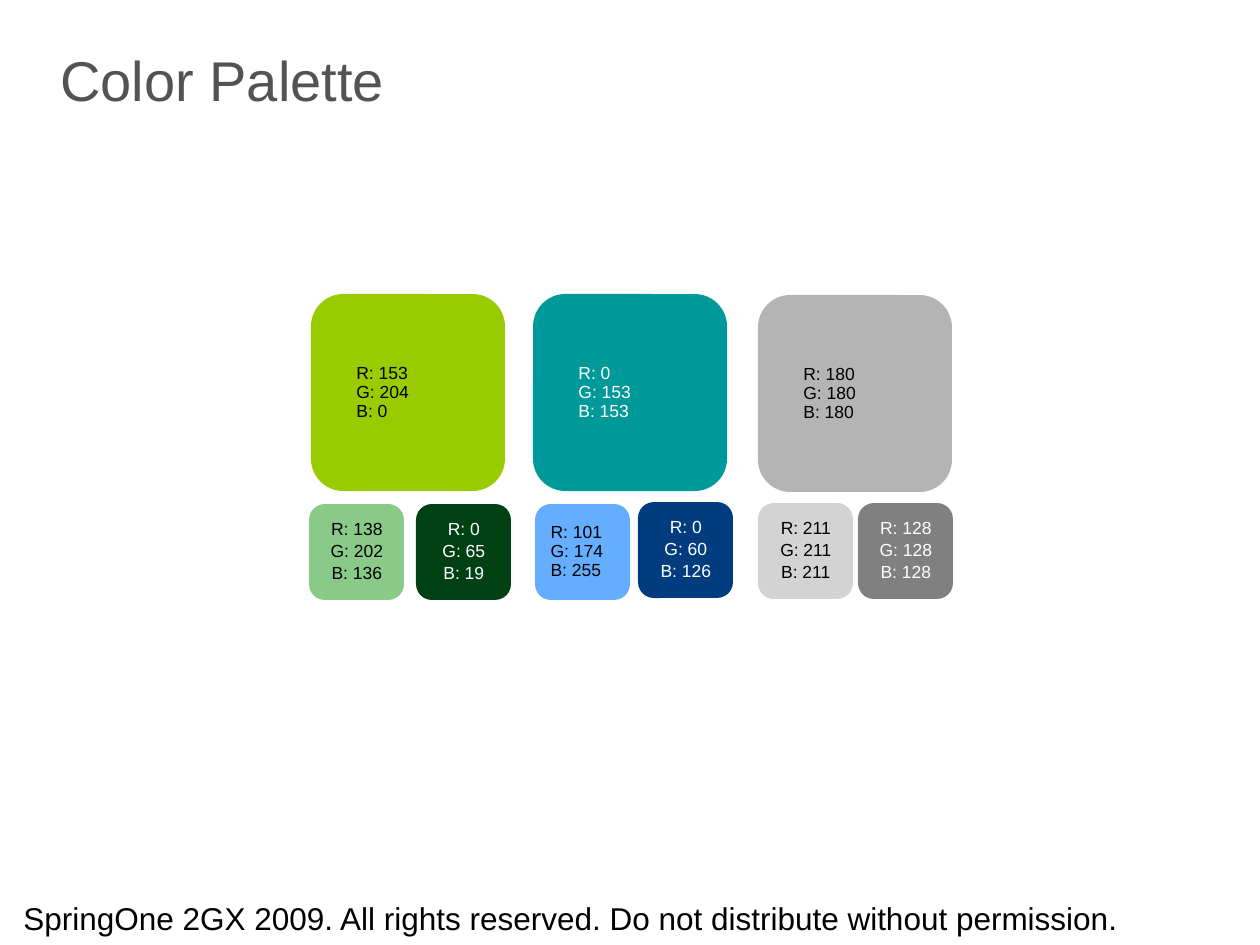
from dataclasses import dataclass

from pptx import Presentation
from pptx.dml.color import RGBColor
from pptx.enum.shapes import MSO_SHAPE
from pptx.enum.text import MSO_ANCHOR, PP_ALIGN
from pptx.util import Emu, Pt

PX_PER_INCH = 126


@dataclass(frozen=True)
class Theme:
    font: str = "Arial"
    black: RGBColor = RGBColor(0, 0, 0)
    white: RGBColor = RGBColor(255, 255, 255)
    title: RGBColor = RGBColor(0x53, 0x53, 0x53)
    title_size: int = 32
    footer_size: int = 18
    swatch_size: int = 10


THEME = Theme()
MAIN_SIZE = (194, 197)
SHADE_SIZE = (95, 96)
HANGING = 24  # hanging indent of left-aligned swatch values

# Per family: left and top, main colour and its ink, then its shades:
# offset from the family corner, colour, ink, and whether centred.
FAMILIES = [
    ((311, 294), (153, 204, 0), THEME.black, [
        ((-2, 210), (138, 202, 136), THEME.black, True),
        ((105, 210), (0, 65, 19), THEME.white, True)]),
    ((533, 294), (0, 153, 153), THEME.white, [
        ((2, 210), (101, 174, 255), THEME.black, False),
        ((105, 208), (0, 60, 126), THEME.white, True)]),
    ((758, 295), (180, 180, 180), THEME.black, [
        ((0, 208), (211, 211, 211), THEME.black, True),
        ((100, 208), (128, 128, 128), THEME.white, True)]),
]


def px(length):
    return Emu(round(length * 914400 / PX_PER_INCH))


def style(paragraph, size, color):
    paragraph.font.name = THEME.font
    paragraph.font.size = Pt(size)
    paragraph.font.color.rgb = color


def add_line(slide, box, text, size, color, anchor):
    frame = slide.shapes.add_textbox(*map(px, box)).text_frame
    frame.word_wrap = True
    frame.vertical_anchor = anchor
    frame.text = text
    style(frame.paragraphs[0], size, color)


def add_swatch(slide, box, rgb, ink, centred, left_inset=13):
    """Rounded square filled with a colour and labelled with its values."""
    swatch = slide.shapes.add_shape(MSO_SHAPE.ROUNDED_RECTANGLE, *map(px, box))
    swatch.shadow.inherit = False
    swatch.fill.solid()
    swatch.fill.fore_color.rgb = RGBColor(*rgb)
    swatch.line.fill.background()

    frame = swatch.text_frame
    frame.word_wrap = True
    frame.vertical_anchor = MSO_ANCHOR.MIDDLE
    frame.margin_left = px(left_inset)
    frame.text = "\n".join(f"{channel}: {value}" for channel, value in zip("RGB", rgb))
    for paragraph in frame.paragraphs:
        paragraph.line_spacing = 0.9
        if centred:
            paragraph.alignment = PP_ALIGN.CENTER
            paragraph.space_after = Pt(1.9)
        else:
            paragraph.alignment = PP_ALIGN.LEFT
            properties = paragraph._p.get_or_add_pPr()
            properties.set("marL", str(px(HANGING)))
            properties.set("indent", str(-px(HANGING)))
        style(paragraph, THEME.swatch_size, ink)


def add_family(slide, corner, main, ink, shades):
    """One main swatch with its smaller shades below it."""
    left, top = corner
    add_swatch(slide, (left, top, *MAIN_SIZE), main, ink, False, left_inset=36)
    for (dx, dy), rgb, shade_ink, centred in shades:
        add_swatch(slide, (left + dx, top + dy, *SHADE_SIZE), rgb, shade_ink,
                   centred, left_inset=13 if centred else 11)


def main():
    deck = Presentation()
    deck.slide_width, deck.slide_height = px(1260), px(945)
    slide = deck.slides.add_slide(deck.slide_layouts[6])
    add_line(slide, (11, 893, 1260, 32),
             "SpringOne 2GX 2009. All rights reserved. Do not distribute without permission.",
             THEME.footer_size, THEME.black, MSO_ANCHOR.TOP)
    add_line(slide, (48, 11, 1160, 136), "Color Palette",
             THEME.title_size, THEME.title, MSO_ANCHOR.MIDDLE)
    for family in FAMILIES:
        add_family(slide, *family)
    deck.save("out.pptx")


if __name__ == "__main__":
    main()
